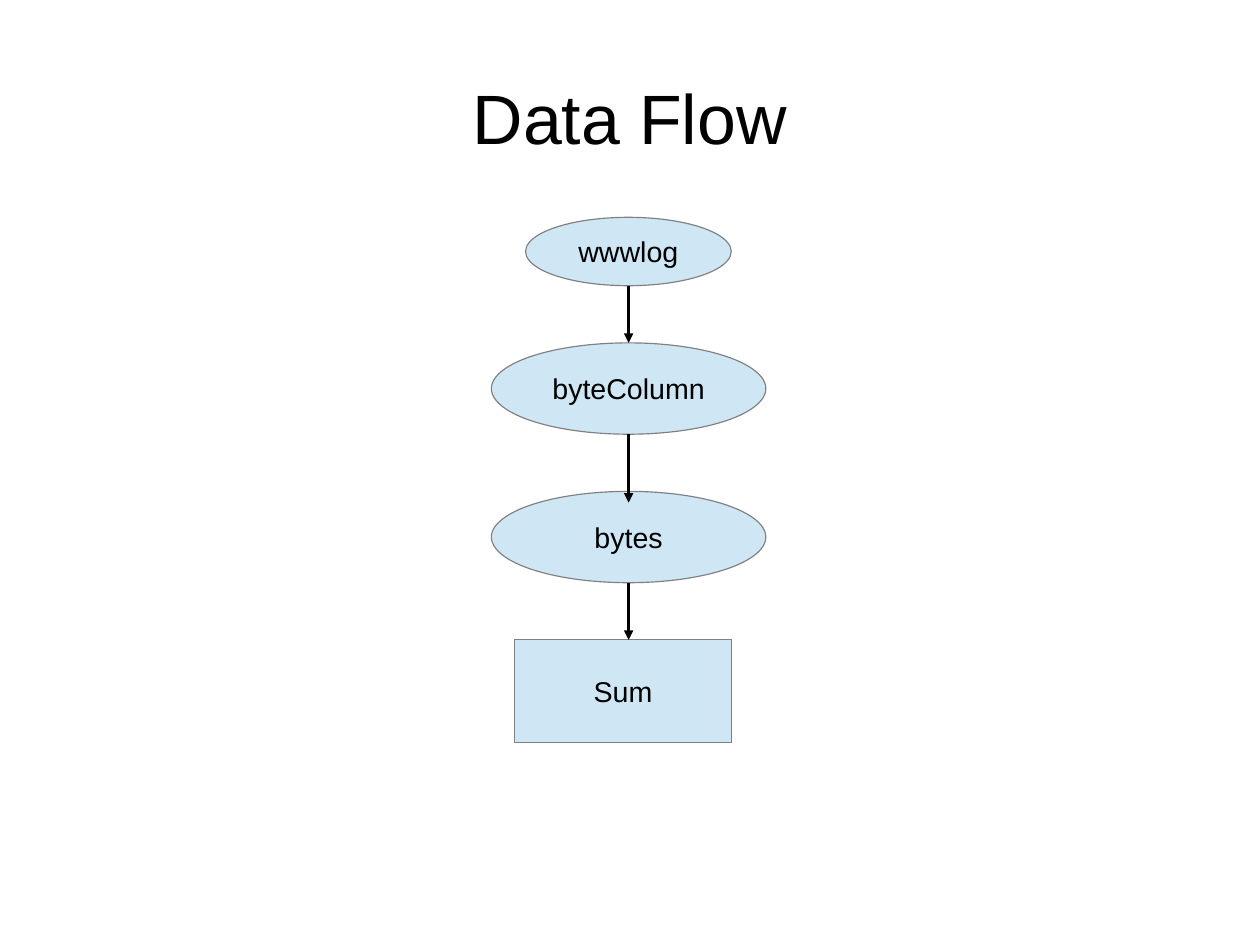
from dataclasses import dataclass
from itertools import pairwise

from lxml.etree import SubElement
from pptx import Presentation
from pptx.dml.color import RGBColor
from pptx.enum.shapes import MSO_CONNECTOR, MSO_SHAPE
from pptx.enum.text import MSO_ANCHOR, PP_ALIGN
from pptx.oxml.ns import qn
from pptx.slide import Slide
from pptx.text.text import TextFrame
from pptx.util import Cm, Pt

BLACK = RGBColor(0x00, 0x00, 0x00)
GREY = RGBColor(0x80, 0x80, 0x80)
PALE_BLUE = RGBColor(0xCF, 0xE7, 0xF5)
FONT = "Arial"
FLOW_X = 13.97


@dataclass(frozen=True)
class Node:
    label: str
    left: float
    top: float
    width: float
    height: float
    outline: MSO_SHAPE = MSO_SHAPE.OVAL
    arrow_overlap: float = 0

    @property
    def bottom(self) -> float:
        return self.top + self.height


NODES = [
    Node("wwwlog", 11.68, 4.83, 4.57, 1.52),
    Node("byteColumn", 10.92, 7.62, 6.1, 2.03),
    Node("bytes", 10.92, 10.92, 6.1, 2.03, arrow_overlap=0.25),
    Node("Sum", 11.43, 14.22, 4.83, 2.29, MSO_SHAPE.RECTANGLE),
]


def write_text(frame: TextFrame, text: str, size: int) -> None:
    frame.text = text
    frame.vertical_anchor = MSO_ANCHOR.MIDDLE
    para = frame.paragraphs[0]
    para.alignment = PP_ALIGN.CENTER
    span = para.runs[0]
    span.font.name = FONT
    span.font.size = Pt(size)
    span.font.color.rgb = BLACK


def add_title(page: Slide, text: str) -> None:
    box = page.shapes.add_textbox(Cm(1.4), Cm(0.84), Cm(25.2), Cm(3.51))
    frame = box.text_frame
    frame.word_wrap = True
    frame.margin_left = frame.margin_right = 0
    frame.margin_top = frame.margin_bottom = 0
    write_text(frame, text, 44)


def add_node(page: Slide, node: Node) -> None:
    shape = page.shapes.add_shape(
        node.outline, Cm(node.left), Cm(node.top), Cm(node.width), Cm(node.height)
    )
    shape.shadow.inherit = False
    shape.fill.solid()
    shape.fill.fore_color.rgb = PALE_BLUE
    shape.line.color.rgb = GREY
    shape.line.width = 0
    shape.text_frame.word_wrap = False
    write_text(shape.text_frame, node.label, 18)


def add_arrow(page: Slide, source: Node, target: Node) -> None:
    arrow = page.shapes.add_connector(
        MSO_CONNECTOR.STRAIGHT,
        Cm(FLOW_X),
        Cm(source.bottom),
        Cm(FLOW_X),
        Cm(target.top + target.arrow_overlap),
    )
    arrow.line.color.rgb = BLACK
    arrow.line.width = 0
    SubElement(arrow.line._get_or_add_ln(), qn("a:tailEnd"), type="triangle")
    SubElement(arrow._element.spPr, qn("a:effectLst"))


def main() -> None:
    deck = Presentation()
    deck.slide_width = Cm(28)
    deck.slide_height = Cm(21)
    page = deck.slides.add_slide(deck.slide_layouts[6])
    add_title(page, "Data Flow")
    for node in NODES:
        add_node(page, node)
    for source, target in pairwise(NODES):
        add_arrow(page, source, target)
    deck.save("out.pptx")


if __name__ == "__main__":
    main()
